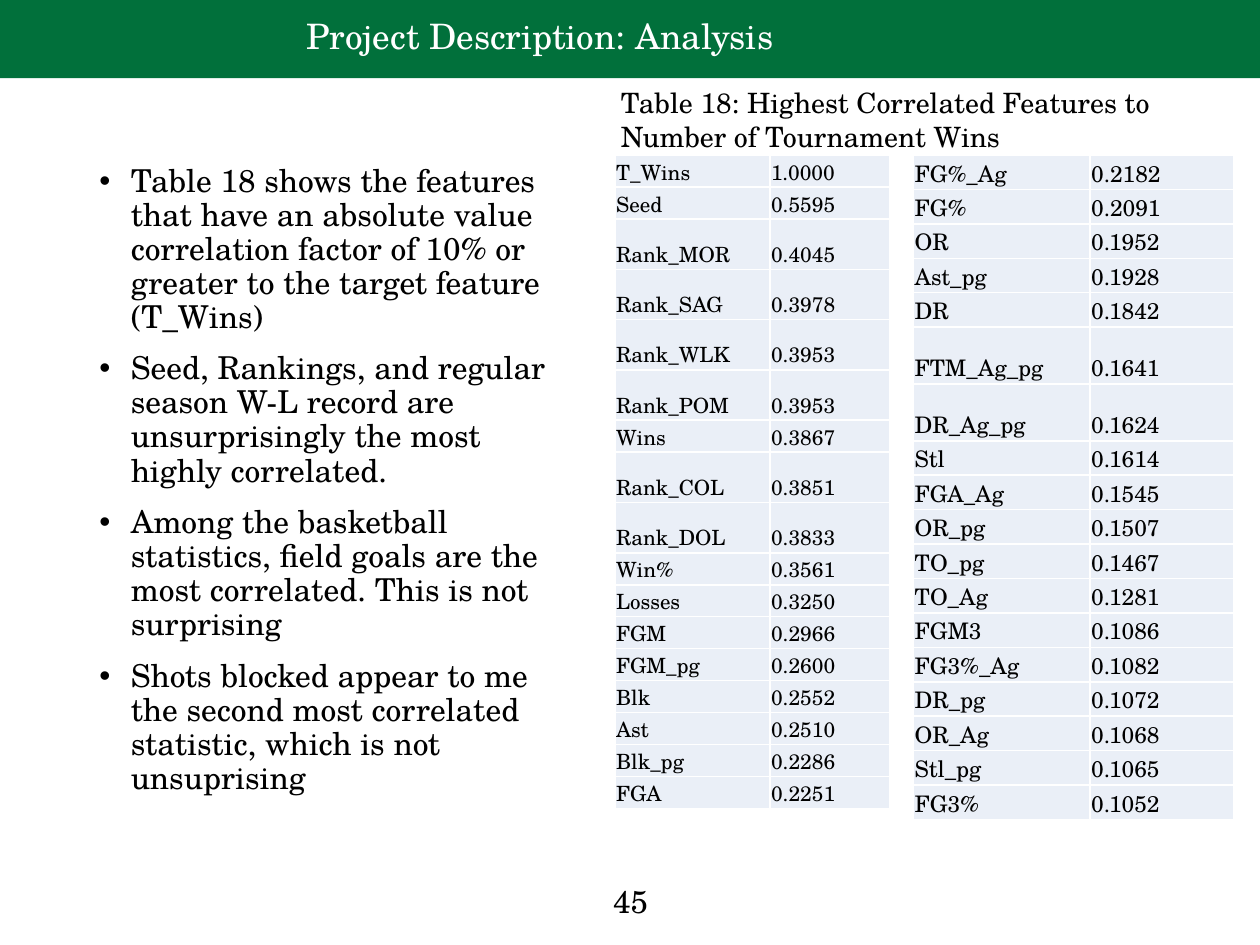
from lxml import etree
from pptx import Presentation
from pptx.dml.color import RGBColor
from pptx.enum import shapes, text
from pptx.oxml import ns
from pptx.util import Inches, Pt

FONT = "TeX Gyre Schola"
COLORS = {"bar": "01703B", "white": "FFFFFF", "black": "000000", "cell": "EAEFF7"}

TITLE = "Project Description: Analysis"
CAPTION = "Table 18: Highest Correlated Features to Number of Tournament Wins"
PAGE = "45"
BULLETS = [
    "Table 18 shows the features that have an absolute value correlation factor "
    "of 10% or greater to the target feature (T_Wins)",
    "Seed, Rankings, and regular season W-L record are unsurprisingly the most "
    "highly correlated.",
    "Among the basketball statistics, field goals are the most correlated. "
    "This is not surprising",
    "Shots blocked appear to me the second most correlated statistic, which is "
    "not unsuprising",
]
STRONGER = [
    ("T_Wins", "1.0000"), ("Seed", "0.5595"), ("Rank_MOR", "0.4045"),
    ("Rank_SAG", "0.3978"), ("Rank_WLK", "0.3953"), ("Rank_POM", "0.3953"),
    ("Wins", "0.3867"), ("Rank_COL", "0.3851"), ("Rank_DOL", "0.3833"),
    ("Win%", "0.3561"), ("Losses", "0.3250"), ("FGM", "0.2966"),
    ("FGM_pg", "0.2600"), ("Blk", "0.2552"), ("Ast", "0.2510"),
    ("Blk_pg", "0.2286"), ("FGA", "0.2251"),
]
WEAKER = [
    ("FG%_Ag", "0.2182"), ("FG%", "0.2091"), ("OR", "0.1952"),
    ("Ast_pg", "0.1928"), ("DR", "0.1842"), ("FTM_Ag_pg", "0.1641"),
    ("DR_Ag_pg", "0.1624"), ("Stl", "0.1614"), ("FGA_Ag", "0.1545"),
    ("OR_pg", "0.1507"), ("TO_pg", "0.1467"), ("TO_Ag", "0.1281"),
    ("FGM3", "0.1086"), ("FG3%_Ag", "0.1082"), ("DR_pg", "0.1072"),
    ("OR_Ag", "0.1068"), ("Stl_pg", "0.1065"), ("FG3%", "0.1052"),
]
# Left edge and column widths in inches; normal and tall row heights
# and text size in points
TABLES = [
    (STRONGER, 4.88, (1.23, 0.95), 18.29, 28.76, 12),
    (WEAKER, 7.25, (1.4, 1.14), 19.7, 32.5, 13),
]


def rgb(name):
    return RGBColor.from_string(COLORS[name])


def write(tf, lines, size=18, color="black", align=text.PP_ALIGN.LEFT,
          spacing=None, before=None, bullet=None):
    tf.word_wrap = True
    for i, line in enumerate(lines):
        p = tf.paragraphs[0] if i == 0 else tf.add_paragraph()
        p.alignment, p.line_spacing = align, spacing
        if before is not None:
            p.space_before = Pt(before)
        if bullet:
            pPr = p._p.get_or_add_pPr()
            pPr.set("marL", str(Inches(0.25)))
            pPr.set("indent", str(Inches(-0.25)))
            etree.SubElement(pPr, ns.qn("a:buFont"), typeface="Arial")
            etree.SubElement(pPr, ns.qn("a:buChar"), char=bullet)
        r = p.add_run()
        r.text = line
        r.font.name, r.font.size = FONT, Pt(size)
        r.font.color.rgb = rgb(color)


def add_text(s, box, lines, **fmt):
    tf = s.shapes.add_textbox(*map(Inches, box)).text_frame
    write(tf, lines, **fmt)
    return tf


def style_cell(cell):
    cell.fill.solid()
    cell.fill.fore_color.rgb = rgb("cell")
    cell.vertical_anchor = text.MSO_ANCHOR.BOTTOM
    cell.margin_left = cell.margin_top = cell.margin_right = Inches(0.01)
    cell.margin_bottom = 0
    tcPr = cell._tc.get_or_add_tcPr()
    for i, side in enumerate(("lnL", "lnR", "lnT", "lnB")):
        ln = etree.Element(ns.qn("a:" + side), w=str(Pt(1)))
        fill = etree.SubElement(ln, ns.qn("a:solidFill"))
        etree.SubElement(fill, ns.qn("a:srgbClr"), val=COLORS["white"])
        tcPr.insert(i, ln)


def add_features(s, rows, left, widths, normal, tall, size):
    heights = [tall if name.startswith("Rank_") or name.endswith("_Ag_pg")
               else normal for name, _ in rows]
    table = s.shapes.add_table(
        len(rows), 2, Inches(left), Inches(1.23),
        Inches(sum(widths)), Pt(sum(heights))).table
    table.first_row = table.horz_banding = False
    for col, width in zip(table.columns, widths):
        col.width = Inches(width)
    for row, height, values in zip(table.rows, heights, rows):
        row.height = Pt(height)
        for cell, value in zip(row.cells, values):
            style_cell(cell)
            write(cell.text_frame, [value], size=size)


def main():
    prs = Presentation()
    prs.slide_width, prs.slide_height = Inches(10), Inches(7.5)
    s = prs.slides.add_slide(prs.slide_layouts[5])

    # Title on its green bar
    title = s.shapes.title
    title.left, title.top, title.width, title.height = map(
        Inches, (2.33, 0.01, 7.67, 0.59))
    title.text_frame.vertical_anchor = text.MSO_ANCHOR.MIDDLE
    write(title.text_frame, [TITLE], size=20, color="white", spacing=0.9)
    bar = s.shapes.add_shape(shapes.MSO_SHAPE.RECTANGLE, 0, 0,
                             prs.slide_width, Inches(0.62))
    bar.shadow.inherit = False
    bar.fill.solid()
    bar.fill.fore_color.rgb = rgb("bar")
    bar.line.fill.background()
    title.element.addprevious(bar.element)

    # Findings
    body = add_text(s, (0.69, 0.86, 4, 5.79), BULLETS, spacing=0.9, before=10,
                    bullet="•")
    body.margin_top = Inches(0.45)

    # Page number
    add_text(s, (3.88, 6.95, 2.25, 0.4), [PAGE], align=text.PP_ALIGN.CENTER)

    # Correlation tables and caption
    for features in TABLES:
        add_features(s, *features)
    add_text(s, (4.83, 0.63, 4.47, 0.64), [CAPTION], size=16)

    prs.save("out.pptx")


if __name__ == "__main__":
    main()
